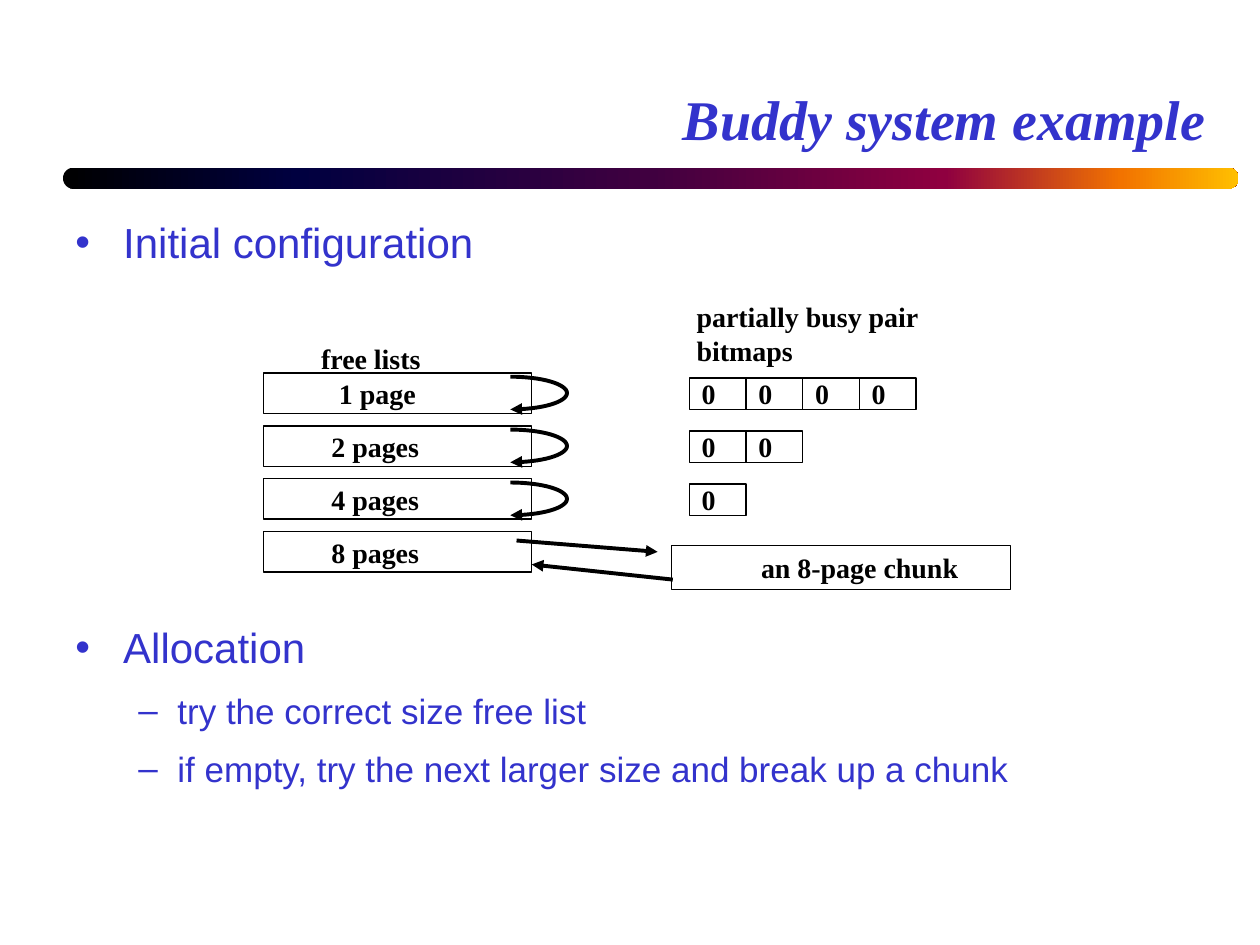
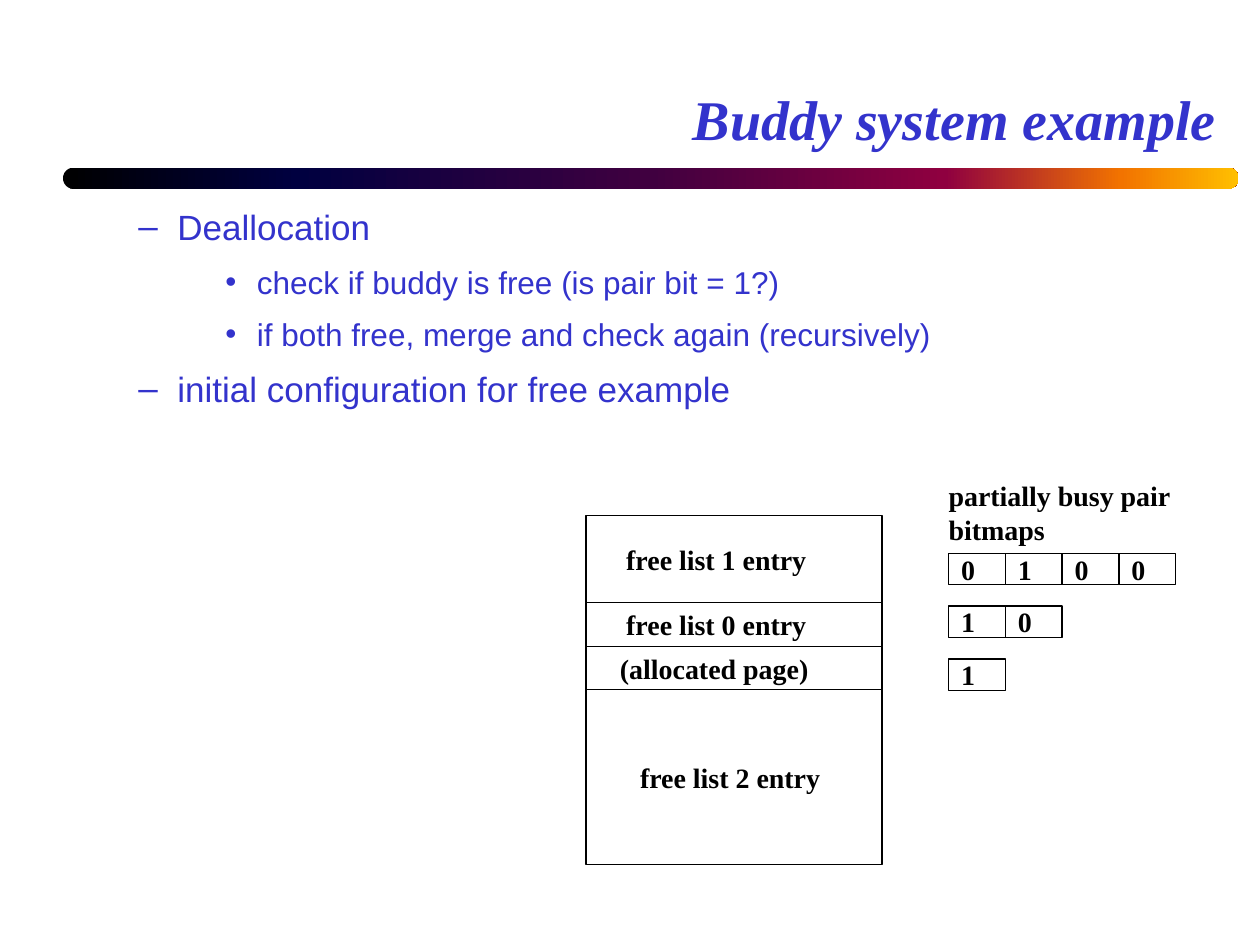
import math
from dataclasses import dataclass

from lxml import etree
from pptx import Presentation
from pptx import util as u
from pptx.dml.color import RGBColor
from pptx.enum import shapes, text
from pptx.oxml import parse_xml
from pptx.oxml.ns import nsdecls, qn

In = u.Inches


@dataclass(frozen=True)
class Theme:
    blue: str = "3333CC"
    black: str = "000000"
    serif: str = "Times New Roman"
    sans: str = "Arial"
    title: int = 32
    label: int = 16
    thin: float = 0.75
    thick: float = 2.25
    spacing: float = 0.23
    band: tuple = ((0, "000000"), (20, "000040"), (50, "400040"),
                   (75, "8F0040"), (90, "F27300"), (100, "FFBF00"))
    levels: tuple = ((24, "•", 0.38, 0.38), (20, "–", 0.81, 0.31),
                     (18, "•", 1.44, 0.25))


class Deck:
    def __init__(self, theme):
        self.t = theme
        self.prs = Presentation()
        self.prs.slide_width, self.prs.slide_height = In(10), In(7.5)
        self.s = None

    def apply(self, obj, **values):
        for name, value in values.items():
            setattr(obj, name, value)

    def run(self, p, words, color=None, **font):
        r = p.add_run()
        r.text = words
        style = {"name": self.t.serif, "size": u.Pt(self.t.label), "bold": True}
        self.apply(r.font, **{**style, **font})
        r.font.color.rgb = RGBColor.from_string(color or self.t.black)

    def box(self, x, y, w, h, wrap=True, anchor=text.MSO_ANCHOR.TOP):
        tf = self.s.shapes.add_textbox(In(x), In(y), In(w), In(h)).text_frame
        self.apply(tf, word_wrap=wrap, vertical_anchor=anchor)
        return tf

    def slide(self, title, title_width):
        self.s = self.prs.slides.add_slide(self.prs.slide_layouts[6])
        self.band()
        tf = self.box(0.5, 0.31, title_width, 0.94, anchor=text.MSO_ANCHOR.BOTTOM)
        p = tf.paragraphs[0]
        p.alignment = text.PP_ALIGN.RIGHT
        self.run(p, title, self.t.blue, size=u.Pt(self.t.title), italic=True)

    def band(self):
        sp = self.s.shapes.add_shape(shapes.MSO_SHAPE.ROUNDED_RECTANGLE,
                                     In(0.5), In(1.33), In(9.33), In(0.17))
        sp.adjustments[0] = 0.5
        sp.shadow.inherit = False
        sp.line.fill.background()
        stops = "".join(f'<a:gs pos="{pos * 1000}"><a:srgbClr val="{c}"/></a:gs>'
                        for pos, c in self.t.band)
        grad = parse_xml(f'<a:gradFill {nsdecls("a")} rotWithShape="1"><a:gsLst>{stops}'
                         '</a:gsLst><a:lin ang="0" scaled="0"/></a:gradFill>')
        sp._element.spPr.find(qn("a:prstGeom")).addnext(grad)

    def body(self, y, h, items):
        tf = self.box(0.5, y, 9, h)
        for i, (level, words, *before) in enumerate(items):
            size, bullet, margin, hang = self.t.levels[level]
            p = tf.add_paragraph() if i else tf.paragraphs[0]
            gap = self.t.spacing * size
            self.apply(p, level=level, space_after=u.Pt(gap),
                       space_before=u.Pt(before[0] if before else gap))
            self.run(p, words, self.t.blue, name=self.t.sans, size=u.Pt(size), bold=False)
            pPr = p._p.get_or_add_pPr()
            pPr.set("marL", str(In(margin)))
            pPr.set("indent", str(-In(hang)))
            color = etree.SubElement(pPr, qn("a:buClr"))
            etree.SubElement(color, qn("a:srgbClr"), val=self.t.blue)
            etree.SubElement(pPr, qn("a:buFont"), typeface=self.t.sans)
            etree.SubElement(pPr, qn("a:buChar"), char=bullet)

    def label(self, x, y, w, h, *lines):
        tf = self.box(x, y, w, h, wrap=False)
        for i, words in enumerate(lines):
            self.run(tf.add_paragraph() if i else tf.paragraphs[0], words)

    def cell(self, x, y, w, h, words, inset=0.1):
        sp = self.s.shapes.add_shape(shapes.MSO_SHAPE.RECTANGLE,
                                     In(x), In(y), In(w), In(h))
        sp.shadow.inherit = False
        sp.fill.background()
        self.stroke(sp, self.t.thin)
        tf = sp.text_frame
        self.apply(tf, word_wrap=True, vertical_anchor=text.MSO_ANCHOR.MIDDLE,
                   margin_left=In(inset), margin_right=0, margin_top=0, margin_bottom=0)
        p = tf.paragraphs[0]
        p.alignment = text.PP_ALIGN.LEFT
        self.run(p, words)

    def stroke(self, sp, width, arrow=False):
        sp.line.width = u.Pt(width)
        sp.line.color.rgb = RGBColor.from_string(self.t.black)
        if arrow:
            ln = sp._element.spPr.find(qn("a:ln"))
            etree.SubElement(ln, qn("a:tailEnd"), type="triangle")

    def arrow(self, x1, y1, x2, y2):
        sp = self.s.shapes.add_connector(shapes.MSO_CONNECTOR.STRAIGHT,
                                         In(x1), In(y1), In(x2), In(y2))
        self.stroke(sp, self.t.thick, arrow=True)
        etree.SubElement(sp._element.spPr, qn("a:effectLst"))

    def loop(self, x, y, rx=0.45, ry=0.13, steps=32):
        angles = [math.pi * (i / steps - 0.5) for i in range(steps + 1)]
        points = [(In(x + rx * math.cos(a)), In(y + ry + ry * math.sin(a)))
                  for a in angles]
        fb = self.s.shapes.build_freeform(*points[0])
        fb.add_line_segments(points[1:], close=False)
        sp = fb.convert_to_shape()
        sp.shadow.inherit = False
        sp.fill.background()
        self.stroke(sp, self.t.thick, arrow=True)

    def bitmaps(self, x, y, rows):
        for i, bits in enumerate(rows):
            for j, bit in enumerate(bits):
                self.cell(x + 0.45 * j, y + 0.42 * i, 0.45, 0.25, bit)


def main():
    deck = Deck(Theme())
    title = "Buddy system example"
    bitmap_title = "partially busy pair", "bitmaps"

    deck.slide(title, 9.17)
    deck.body(1.67, 5.21, [
        (0, "Initial configuration"),
        (0, "Allocation", 197),
        (1, "try the correct size free list"),
        (1, "if empty, try the next larger size and break up a chunk"),
    ])
    deck.label(5.43, 2.33, 1.99, 0.64, *bitmap_title)
    deck.bitmaps(5.47, 3, ["0000", "00", "0"])
    deck.label(2.45, 2.66, 1.01, 0.37, "free lists")
    free_lists = [("1 page", 0.6), ("2 pages", 0.54), ("4 pages", 0.54), ("8 pages", 0.54)]
    for i, (words, inset) in enumerate(free_lists):
        y = 2.96 + 0.42 * i
        deck.cell(2.09, y, 2.13, 0.32, words, inset)
        if i < 3:
            deck.loop(4.05, y + 0.03)
    deck.cell(5.33, 4.33, 2.69, 0.35, "an 8-page chunk", 0.71)
    deck.arrow(4.1, 4.29, 5.22, 4.38)
    deck.arrow(5.34, 4.6, 4.22, 4.48)

    deck.slide(title, 9.25)
    deck.body(1.58, 5.29, [
        (1, "Deallocation"),
        (2, "check if buddy is free (is pair bit = 1?)"),
        (2, "if both free, merge and check again (recursively)"),
        (1, "initial configuration for free example"),
    ])
    deck.label(7.43, 3.75, 1.99, 0.64, *bitmap_title)
    deck.bitmaps(7.53, 4.39, ["0100", "10", "1"])
    y, page = 4.09, 2.77 / 8
    for words, pages, inset in [("free list 1 entry", 2, 0.32),
                                ("free list 0 entry", 1, 0.32),
                                ("(allocated page)", 1, 0.27),
                                ("free list 2 entry", 4, 0.43)]:
        deck.cell(4.65, y, 2.35, page * pages, words, inset)
        y += page * pages

    deck.prs.save("out.pptx")


if __name__ == "__main__":
    main()
